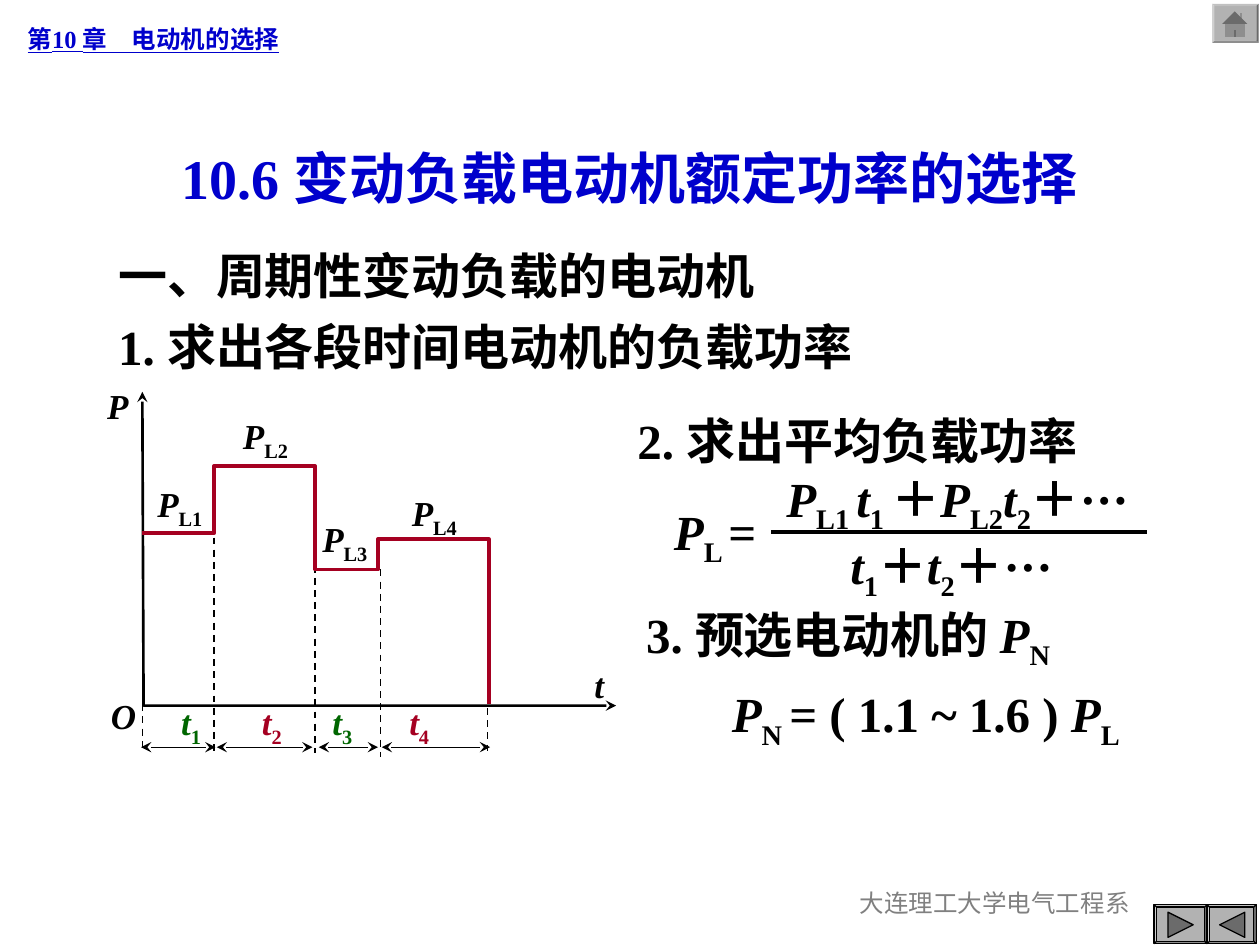
from lxml import etree
from pptx import Presentation
from pptx.dml.color import RGBColor
from pptx.enum.dml import MSO_LINE
from pptx.enum.shapes import MSO_CONNECTOR, MSO_SHAPE
from pptx.enum.text import MSO_ANCHOR, PP_ALIGN
from pptx.oxml.ns import qn
from pptx.util import Inches, Pt

STRAIGHT = MSO_CONNECTOR.STRAIGHT
BEVEL = MSO_SHAPE.BEVEL
DASH = MSO_LINE.DASH
MIDDLE = MSO_ANCHOR.MIDDLE
LEFT, CENTER, RIGHT = PP_ALIGN.LEFT, PP_ALIGN.CENTER, PP_ALIGN.RIGHT

FONT = "Times New Roman"
BLACK = RGBColor(0x00, 0x00, 0x00)
BLUE = RGBColor(0x00, 0x00, 0xCC)
RED = RGBColor(0xA5, 0x00, 0x21)
GREEN = RGBColor(0x00, 0x66, 0x00)
GRAY = RGBColor(0x80, 0x80, 0x80)
BUTTON_GRAY = RGBColor(0xB2, 0xB2, 0xB2)
WALL_GRAY = RGBColor(0x8E, 0x8E, 0x8E)
ICON_GRAY = RGBColor(0x6B, 0x6B, 0x6B)

PLAIN, ITALIC, SUBSCRIPT = "plain", "italic", "subscript"


def symbol(letter, index):
    """Return the runs of an italic letter with a subscript."""
    return [(letter, ITALIC), (index, SUBSCRIPT)]


def fill_paragraph(paragraph, runs, size, color, bold=True, align=LEFT):
    """Write styled runs into a paragraph."""
    paragraph.alignment = align
    font = paragraph.font
    font.name, font.size, font.bold = FONT, Pt(size), bold
    font.color.rgb = color
    for text, style in runs:
        run = paragraph.add_run()
        run.text = text
        if style == ITALIC:
            run.font.italic = True
        elif style == SUBSCRIPT:
            run._r.get_or_add_rPr().set("baseline", "-25000")


def add_text(slide, box, lines, size, color=BLACK, bold=True, align=LEFT, wrap=False, gap=0):
    """Add a text box with one paragraph for each list of runs."""
    shape = slide.shapes.add_textbox(*map(Inches, box))
    frame = shape.text_frame
    frame.word_wrap = wrap
    for number, runs in enumerate(lines):
        paragraph = frame.add_paragraph() if number else frame.paragraphs[0]
        fill_paragraph(paragraph, runs, size, color, bold, align)
        if number:
            paragraph.space_before = Pt(gap)
    return frame


def set_line(shape, color, width, arrows=False, dashed=False):
    """Format the line of a shape or connector."""
    shape.line.color.rgb = color
    shape.line.width = Pt(width)
    if dashed:
        shape.line.dash_style = DASH
    if arrows:
        line = shape.line._get_or_add_ln()
        for end in ("a:headEnd", "a:tailEnd"):
            etree.SubElement(line, qn(end)).set("type", "stealth")


def add_line(slide, start, end, width, **style):
    """Add a straight black connector."""
    connector = slide.shapes.add_connector(STRAIGHT, *map(Inches, start + end))
    set_line(connector, BLACK, width, **style)
    etree.SubElement(connector._element.spPr, qn("a:effectLst"))


def add_outline(slide, points, closed=False):
    """Add a freeform through the given points."""
    points = [(Inches(x), Inches(y)) for x, y in points]
    builder = slide.shapes.build_freeform(*points[0])
    builder.add_line_segments(points[1:], close=closed)
    shape = builder.convert_to_shape()
    shape.shadow.inherit = False
    shape.fill.background()
    return shape


def add_icon(slide, points, color, outlined=False):
    """Add a filled polygon for a button."""
    shape = add_outline(slide, points, closed=True)
    shape.fill.solid()
    shape.fill.fore_color.rgb = color
    if outlined:
        set_line(shape, BLACK, 0.75)
    else:
        shape.line.fill.background()


def add_button(slide, left, top, width, outlined=True):
    """Add a bevelled navigation button."""
    shape = slide.shapes.add_shape(BEVEL, *map(Inches, (left, top, width, 0.31)))
    shape.adjustments[0] = 0.06
    shape.shadow.inherit = False
    shape.fill.solid()
    shape.fill.fore_color.rgb = BUTTON_GRAY
    if outlined:
        set_line(shape, BLACK, 0.75)
    else:
        shape.line.fill.background()


def add_headings(slide):
    """Add the chapter line, title, section lines and footer."""
    title = slide.shapes.title
    title.left, title.top, title.width, title.height = map(Inches, (0.75, 1.09, 8.5, 0.63))
    title.text_frame.vertical_anchor = MIDDLE
    fill_paragraph(title.text_frame.paragraphs[0],
                   [("10.6 变动负载电动机额定功率的选择", PLAIN)], 32, BLUE, align=CENTER)
    add_text(slide, (0.84, 1.9, 7, 1.13),
             [[("一、周期性变动负载的电动机", PLAIN)],
              [("1. 求出各段时间电动机的负载功率", PLAIN)]], 28, wrap=True, gap=7)
    chapter = add_text(slide, (0.12, 0.14, 3.19, 0.34),
                       [[("第10 章　电动机的选择", PLAIN)]], 14, BLUE, wrap=True)
    chapter.vertical_anchor = MIDDLE
    chapter.paragraphs[0].font.underline = True
    add_text(slide, (6.31, 7, 3.17, 0.5), [[("大连理工大学电气工程系", PLAIN)]],
             14, GRAY, bold=False, align=CENTER, wrap=True)


def add_load_diagram(slide):
    """Add the stepped load curve with its axes and time spans."""
    axes = add_outline(slide, [(4.89, 5.6), (1.14, 5.6), (1.13, 3.11)])
    set_line(axes, BLACK, 1.5, arrows=True)
    for letter, box in (("O", (0.78, 5.46, 0.4, 0.44)), ("t", (4.62, 5.22, 0.27, 0.44)),
                        ("P", (0.75, 3, 0.37, 0.44))):
        add_text(slide, box, [[(letter, ITALIC)]], 20, align=CENTER)

    for x, top, bottom in ((1.13, 5.59, 5.97), (1.7, 4.17, 5.98), (2.5, 4.49, 5.98),
                           (3.02, 4.52, 6.01), (3.87, 5.62, 5.99)):
        add_line(slide, (x, top), (x, bottom), 1, dashed=True)
    for start, end in ((1.12, 1.71), (1.72, 2.48), (2.53, 3), (3.03, 3.89)):
        add_line(slide, (start, 5.93), (end, 5.93), 0.75, arrows=True)

    curve = add_outline(slide, [(1.13, 4.23), (1.7, 4.23), (1.7, 3.7), (2.5, 3.7), (2.5, 4.52),
                                (3, 4.52), (3, 4.28), (3.88, 4.28), (3.88, 5.59)])
    set_line(curve, RED, 2.25)

    loads = ((1.15, 3.78), (1.83, 3.24), (2.46, 4.06), (3.17, 3.85))
    times = ((1.34, GREEN), (1.98, RED), (2.54, GREEN), (3.15, RED))
    for number, ((left, top), (time_left, color)) in enumerate(zip(loads, times), 1):
        add_text(slide, (left, top, 0.56, 0.48), [symbol("P", f"L{number}")], 20)
        add_text(slide, (time_left, 5.51, 0.36, 0.48), [symbol("t", str(number))], 20, color)


def add_formulas(slide):
    """Add the average load and the preselected power."""
    add_text(slide, (4.96, 3.21, 3.79, 0.57), [[("2. 求出平均负载功率", PLAIN)]], 28)
    plus, dots = ("＋", PLAIN), ("＋··· ", PLAIN)
    numerator = [*symbol(" P", "L1 "), *symbol("t", "1 "), plus,
                 *symbol("P", "L2"), *symbol("t", "2"), dots]
    denominator = [*symbol("t", "1"), plus, *symbol("t", "2"), dots]
    add_text(slide, (5.86, 3.67, 3.48, 1.16), [numerator, denominator], 28, align=CENTER)
    add_text(slide, (5.2, 3.93, 0.9, 0.63), [[*symbol("P", "L "), ("=", PLAIN)]], 28, align=RIGHT)
    add_line(slide, (6.12, 4.22), (9.1, 4.22), 2.25)
    frame = add_text(slide, (5.03, 4.75, 4, 1.26),
                     [[("3. 预选电动机的 ", PLAIN), *symbol("P", "N")],
                      [*symbol("P", "N "), ("= ( 1.1 ~ 1.6 ) ", PLAIN), *symbol("P", "L")]],
                     28, gap=7)
    frame.paragraphs[1]._p.get_or_add_pPr().set("marL", str(Inches(0.68)))


def add_navigation(slide):
    """Add the next, previous and home buttons."""
    add_button(slide, 9.16, 7.18, 0.42)
    add_icon(slide, [(9.27, 7.24), (9.47, 7.34), (9.27, 7.44)], ICON_GRAY, outlined=True)
    add_button(slide, 9.58, 7.18, 0.39)
    add_icon(slide, [(9.68, 7.34), (9.88, 7.24), (9.88, 7.44)], ICON_GRAY, outlined=True)
    add_button(slide, 9.62, 0.03, 0.37, outlined=False)
    add_icon(slide, [(9.84, 0.1), (9.86, 0.1), (9.86, 0.15), (9.84, 0.15)], WALL_GRAY)
    add_icon(slide, [(9.72, 0.19), (9.88, 0.19), (9.88, 0.29), (9.72, 0.29)], WALL_GRAY)
    add_icon(slide, [(9.8, 0.09), (9.9, 0.19), (9.7, 0.19)], ICON_GRAY)
    add_icon(slide, [(9.79, 0.24), (9.81, 0.24), (9.81, 0.29), (9.79, 0.29)], ICON_GRAY)


def main():
    """Build the slide and save it."""
    presentation = Presentation()
    presentation.slide_width, presentation.slide_height = Inches(10), Inches(7.5)
    slide = presentation.slides.add_slide(presentation.slide_layouts[5])
    add_headings(slide)
    add_load_diagram(slide)
    add_formulas(slide)
    add_navigation(slide)
    presentation.save("out.pptx")


if __name__ == "__main__":
    main()
